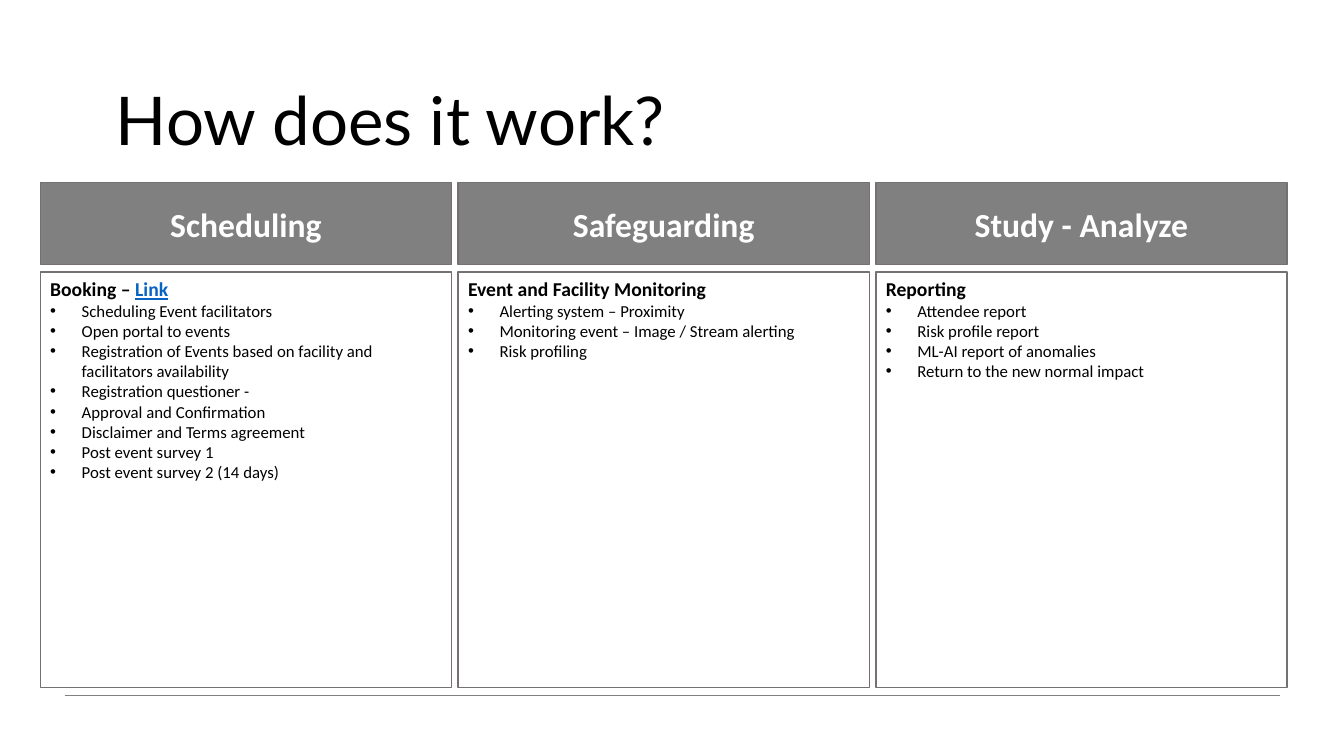
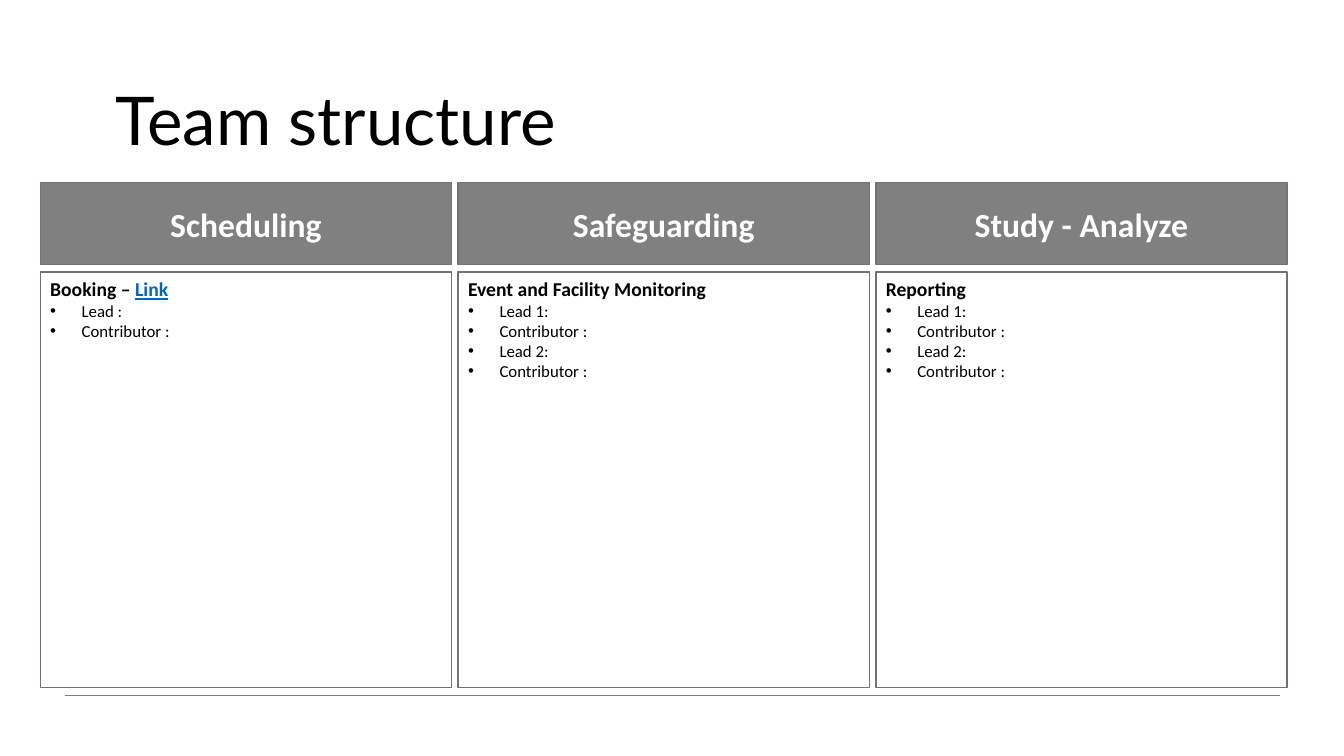
"""Build the process and team slides, each with three headed columns."""
import dataclasses

import lxml.etree
import pptx
import pptx.dml.color
import pptx.enum.shapes
import pptx.enum.text
import pptx.oxml.ns
import pptx.util

Pt = pptx.util.Pt
RGB = pptx.dml.color.RGBColor.from_string
qn = pptx.oxml.ns.qn
ALIGN = pptx.enum.text.PP_ALIGN
ANCHOR = pptx.enum.text.MSO_ANCHOR


@dataclasses.dataclass(frozen=True)
class Theme:
    """Colours, fonts and type sizes of the deck."""
    ink: str = "000000"
    paper: str = "FFFFFF"
    band: str = "808080"
    border: str = "767171"
    link: str = "0563C1"
    title_font: str = "Lato"
    body_font: str = "Calibri"
    title_size: int = 48
    header_size: int = 24
    topic_size: int = 14
    item_size: int = 12
    border_width: float = 1
    rule_width: float = 0.5


@dataclasses.dataclass(frozen=True)
class Box:
    """A rectangle in points."""
    left: float
    top: float
    width: float
    height: float

    def lengths(self):
        """Return the four lengths as Pt values."""
        return [Pt(v) for v in (self.left, self.top, self.width, self.height)]


THEME = Theme()
TITLE = Box(75.6, 52.56, 711.36, 65.5)
COLUMNS = Box(28.8, 130.4, 890.6, 360.8)
FOOTER = Box(46.1, 496.8, 868.3, 0)
COLUMN_GAP = 4.7
HEADER_HEIGHT = 58.6
HEADER_GAP = 5.3
ITEM_INDENT = 22.5
HEADERS = ["Scheduling", "Safeguarding", "Study - Analyze"]
TOPICS = [("Booking – ", "Link"), ("Event and Facility Monitoring", ""), ("Reporting", "")]
TWO_TEAMS = ["Lead 1:", "Contributor :", "Lead 2:", "Contributor :"]
SLIDES = {
    "How does it work?": [
        ["Scheduling Event facilitators", "Open portal to events",
         "Registration of Events based on facility and facilitators availability",
         "Registration questioner -", "Approval and Confirmation",
         "Disclaimer and Terms agreement", "Post event survey 1",
         "Post event survey 2 (14 days)"],
        ["Alerting system – Proximity", "Monitoring event – Image / Stream alerting",
         "Risk profiling"],
        ["Attendee report", "Risk profile report", "ML-AI report of anomalies",
         "Return to the new normal impact"],
    ],
    "Team structure": [["Lead :", "Contributor :"], TWO_TEAMS, TWO_TEAMS],
}


def add_run(paragraph, text, size, color=THEME.ink, bold=False, font=THEME.body_font):
    """Append one formatted run and return it."""
    run = paragraph.add_run()
    run.text = text
    run.font.name = font
    run.font.size = Pt(size)
    run.font.bold = bold
    run.font.color.rgb = RGB(color)
    return run


def add_bullet(paragraph):
    """Give the paragraph a hanging round bullet."""
    properties = paragraph._p.get_or_add_pPr()
    properties.set("marL", str(Pt(ITEM_INDENT)))
    properties.set("indent", str(-Pt(ITEM_INDENT)))
    lxml.etree.SubElement(properties, qn("a:buFont")).set("typeface", "Arial")
    lxml.etree.SubElement(properties, qn("a:buChar")).set("char", "•")


def add_panel(slide, box, anchor, fill=None):
    """Draw a bordered rectangle and return its text frame."""
    panel = slide.shapes.add_shape(pptx.enum.shapes.MSO_SHAPE.RECTANGLE, *box.lengths())
    panel.shadow.inherit = False
    if fill:
        panel.fill.solid()
        panel.fill.fore_color.rgb = RGB(fill)
    else:
        panel.fill.background()
    panel.line.color.rgb = RGB(THEME.border)
    panel.line.width = Pt(THEME.border_width)
    panel.text_frame.word_wrap = True
    panel.text_frame.vertical_anchor = anchor
    return panel.text_frame


def add_title(slide, box, text):
    """Place and format the title placeholder."""
    title = slide.shapes.title
    title.left, title.top, title.width, title.height = box.lengths()
    frame = title.text_frame
    frame.auto_size = pptx.enum.text.MSO_AUTO_SIZE.NONE
    frame.vertical_anchor = ANCHOR.TOP
    frame.paragraphs[0].alignment = ALIGN.LEFT
    add_run(frame.paragraphs[0], text, THEME.title_size, font=THEME.title_font)


def add_footer_rule(slide, box):
    """Draw the thin rule along the foot of the slide."""
    rule = slide.shapes.add_connector(
        pptx.enum.shapes.MSO_CONNECTOR.STRAIGHT, Pt(box.left), Pt(box.top),
        Pt(box.left + box.width), Pt(box.top + box.height))
    rule.line.color.rgb = RGB(THEME.band)
    rule.line.width = Pt(THEME.rule_width)
    lxml.etree.SubElement(rule._element.spPr, qn("a:effectLst"))


def add_header(slide, box, text):
    """Draw the grey heading of a column."""
    heading = add_panel(slide, box, ANCHOR.MIDDLE, THEME.band).paragraphs[0]
    heading.alignment = ALIGN.CENTER
    add_run(heading, text, THEME.header_size, THEME.paper, bold=True)


def add_details(slide, box, topic, items):
    """Draw the outlined panel with a topic line and its bullets."""
    frame = add_panel(slide, box, ANCHOR.TOP)
    label, link = topic
    topic_line = frame.paragraphs[0]
    topic_line.alignment = ALIGN.LEFT
    add_run(topic_line, label, THEME.topic_size, bold=True)
    if link:
        add_run(topic_line, link, THEME.topic_size, THEME.link, True).font.underline = True
    for item in items:
        bullet_line = frame.add_paragraph()
        bullet_line.alignment = ALIGN.LEFT
        add_bullet(bullet_line)
        add_run(bullet_line, item, THEME.item_size)


def add_columns(slide, box, item_lists):
    """Split the box into equal columns, each a header above its details."""
    width = (box.width - COLUMN_GAP * (len(HEADERS) - 1)) / len(HEADERS)
    lefts = [box.left + i * (width + COLUMN_GAP) for i in range(len(HEADERS))]
    offset = HEADER_HEIGHT + HEADER_GAP
    for left, header in zip(lefts, HEADERS):
        add_header(slide, Box(left, box.top, width, HEADER_HEIGHT), header)
    for left, topic, items in zip(lefts, TOPICS, item_lists):
        details = Box(left, box.top + offset, width, box.height - offset)
        add_details(slide, details, topic, items)


def add_column_slide(deck, title, item_lists):
    """Add one slide with a title, three columns and the footer rule."""
    slide = deck.slides.add_slide(deck.slide_layouts[5])
    slide.background.fill.solid()
    slide.background.fill.fore_color.rgb = RGB(THEME.paper)
    add_footer_rule(slide, FOOTER)
    add_title(slide, TITLE, title)
    add_columns(slide, COLUMNS, item_lists)


def main():
    """Build and save the deck."""
    deck = pptx.Presentation()
    deck.slide_width, deck.slide_height = Pt(960), Pt(540)
    for title, item_lists in SLIDES.items():
        add_column_slide(deck, title, item_lists)
    deck.save("out.pptx")


main()
